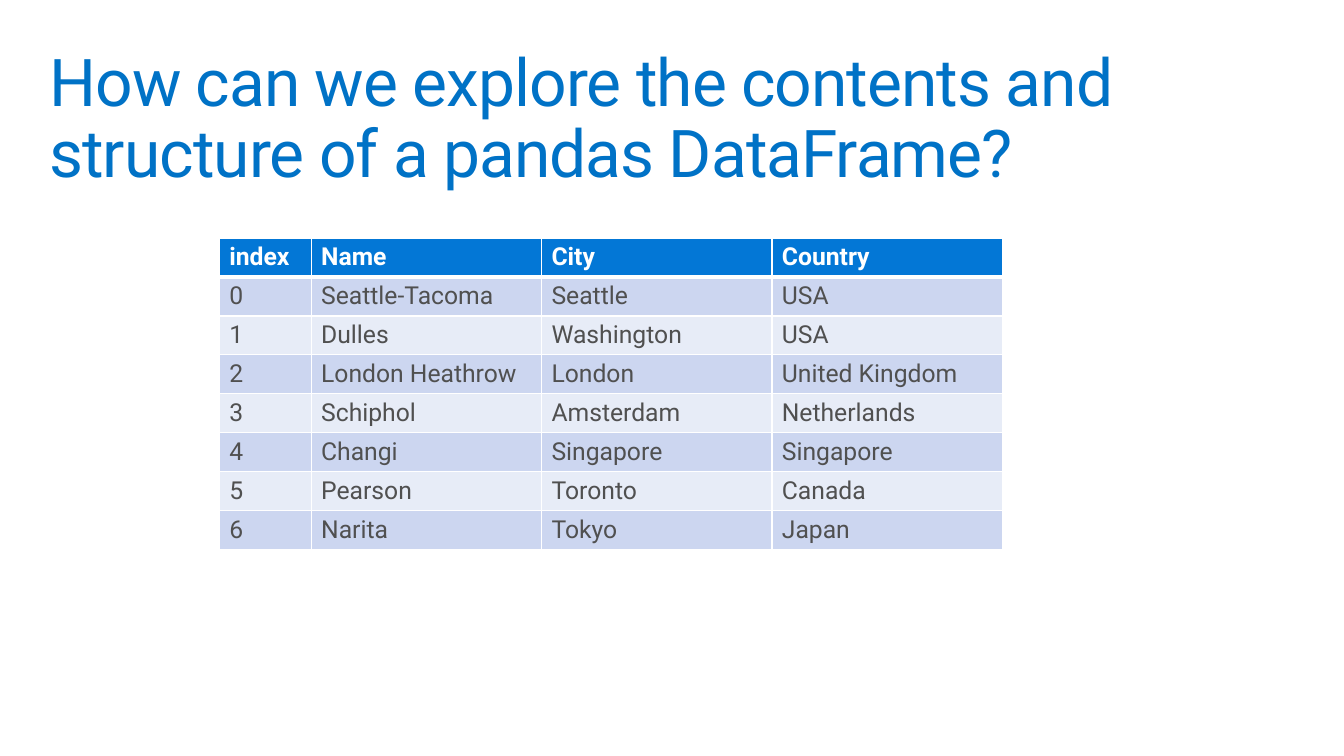
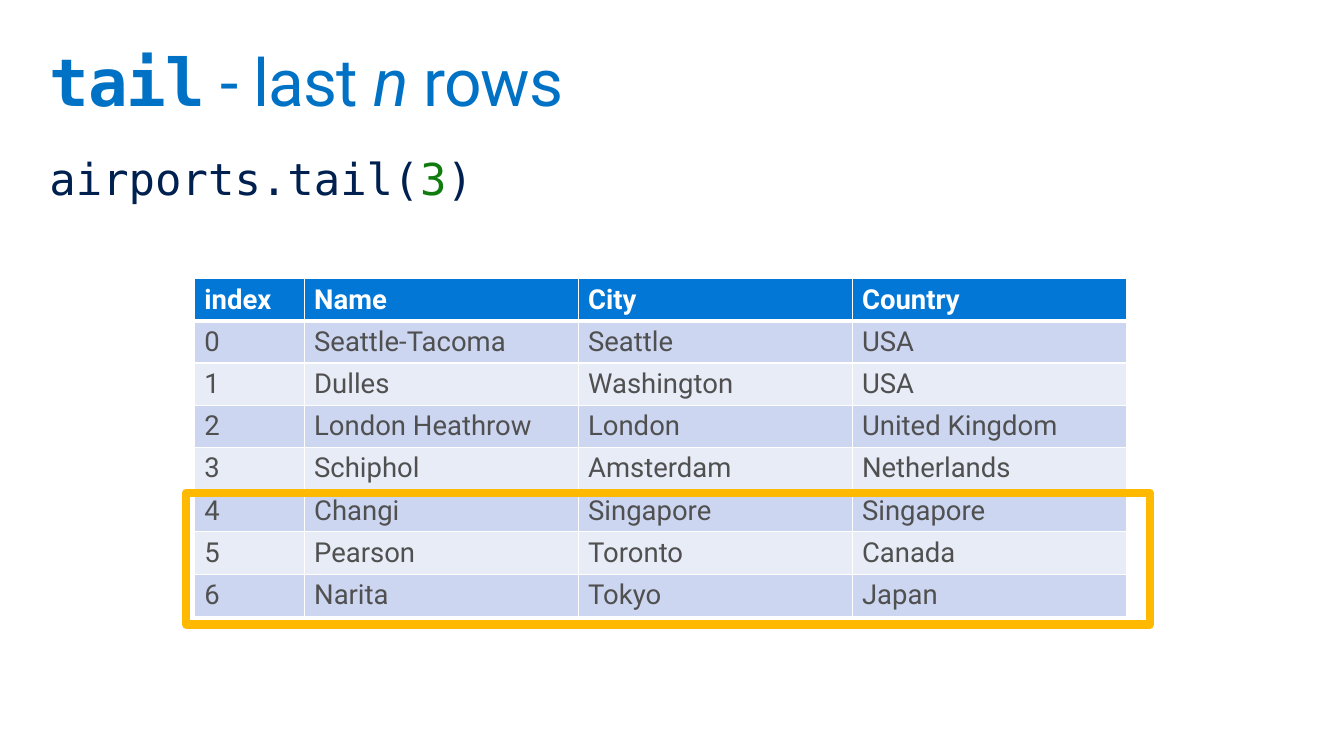
import pptx
import pptx.dml.color
import pptx.enum.shapes
import pptx.enum.text
import pptx.oxml.ns
import pptx.oxml.xmlchemy
import pptx.util
from lxml import etree

Cm = pptx.util.Cm
Pt = pptx.util.Pt
RGBColor = pptx.dml.color.RGBColor
qn = pptx.oxml.ns.qn

TITLE_BLUE = RGBColor(0x00, 0x72, 0xC6)
HEADER_BLUE = RGBColor(0x03, 0x77, 0xD6)
BAND_DARK = RGBColor(0xCC, 0xD6, 0xF0)
BAND_LIGHT = RGBColor(0xE7, 0xEC, 0xF7)
WHITE = RGBColor(0xFF, 0xFF, 0xFF)
GRAY = RGBColor(0x50, 0x50, 0x50)
NAVY = RGBColor(0x00, 0x20, 0x50)
GREEN = RGBColor(0x10, 0x7C, 0x10)
AMBER = RGBColor(0xFE, 0xB9, 0x00)

SANS = "Roboto"
MONO = "DejaVu Sans Mono"
MARGIN = Cm(1.02)
CONTENT_WIDTH = Cm(32.51)

AIRPORTS = [
    ("index", "Name", "City", "Country"),
    ("0", "Seattle-Tacoma", "Seattle", "USA"),
    ("1", "Dulles", "Washington", "USA"),
    ("2", "London Heathrow", "London", "United Kingdom"),
    ("3", "Schiphol", "Amsterdam", "Netherlands"),
    ("4", "Changi", "Singapore", "Singapore"),
    ("5", "Pearson", "Toronto", "Canada"),
    ("6", "Narita", "Tokyo", "Japan"),
]


def style_font(font, name, size, color, bold=False):
    font.name = name
    font.size = Pt(size)
    font.bold = bold
    font.color.rgb = color


def prepare_frame(frame):
    frame.word_wrap = True
    frame.auto_size = pptx.enum.text.MSO_AUTO_SIZE.NONE
    frame.vertical_anchor = pptx.enum.text.MSO_ANCHOR.TOP
    frame.margin_left = frame.margin_right = Cm(0.25)
    frame.margin_top = frame.margin_bottom = Cm(0.25)
    paragraph = frame.paragraphs[0]
    paragraph.alignment = pptx.enum.text.PP_ALIGN.LEFT
    paragraph.line_spacing = 0.9
    return paragraph


def add_run(paragraph, text):
    run = paragraph.add_run()
    run.text = text
    return run


def add_titled_slide(deck):
    slide = deck.slides.add_slide(deck.slide_layouts[5])
    title = slide.shapes.title
    title.left, title.top = MARGIN, MARGIN
    title.width, title.height = CONTENT_WIDTH, Cm(2.54)
    heading = prepare_frame(title.text_frame)
    style_font(heading.font, SANS, 48, TITLE_BLUE)
    heading._p.pPr.find(qn("a:defRPr")).set("spc", "-70")
    return slide, heading


def add_code(slide, parts):
    box = slide.shapes.add_textbox(MARGIN, Cm(3.81), CONTENT_WIDTH, Cm(3.2))
    code = prepare_frame(box.text_frame)
    style_font(code.font, MONO, 32, NAVY)
    for text, color in parts:
        add_run(code, text).font.color.rgb = color


def set_borders(cell, top, bottom):
    properties = cell._tc.get_or_add_tcPr()
    for side, width in (("L", 1), ("R", 1), ("T", top), ("B", bottom)):
        line = etree.SubElement(properties, qn(f"a:ln{side}"), w=str(Pt(width)))
        fill = etree.SubElement(line, qn("a:solidFill"))
        etree.SubElement(fill, qn("a:srgbClr"), val=str(WHITE))


def add_airport_table(slide, left, top, index_width, field_width, row_height, size):
    widths = [index_width] + [field_width] * 3
    table = slide.shapes.add_table(
        len(AIRPORTS), len(widths), Cm(left), Cm(top),
        Cm(sum(widths)), Cm(row_height * len(AIRPORTS))).table
    for column, width in zip(table.columns, widths):
        column.width = Cm(width)
    for number, record in enumerate(AIRPORTS):
        table.rows[number].height = Cm(row_height)
        header = number == 0
        band = BAND_DARK if number % 2 else BAND_LIGHT
        for position, value in enumerate(record):
            cell = table.cell(number, position)
            set_borders(cell, 3 if number == 1 else 1, 3 if header else 1)
            cell.fill.solid()
            cell.fill.fore_color.rgb = HEADER_BLUE if header else band
            cell.text = value
            style_font(cell.text_frame.paragraphs[0].font, SANS, size,
                       WHITE if header else GRAY, header)


def add_highlight(slide, left, top, width, height):
    frame = slide.shapes.add_shape(
        pptx.enum.shapes.MSO_SHAPE.RECTANGLE, Cm(left), Cm(top), Cm(width), Cm(height))
    frame.shadow.inherit = False
    frame.fill.background()
    frame.line.color.rgb = AMBER
    frame.line.width = Pt(6)
    etree.SubElement(frame.line._get_or_add_ln(), qn("a:round"))


def build_explore_slide(deck):
    slide, heading = add_titled_slide(deck)
    add_run(heading, "How can we explore the contents and structure of a pandas DataFrame?")
    add_airport_table(slide, 5.64, 6.12, 2.36, 5.92, 1, 18)


def build_tail_slide(deck):
    slide, heading = add_titled_slide(deck)
    method = add_run(heading, "tail")
    method.font.name = MONO
    method.font.bold = True
    add_run(heading, " - last ")
    add_run(heading, "n").font.italic = True
    add_run(heading, " rows")
    add_code(slide, [("airports.tail(", NAVY), ("3", GREEN), (")", NAVY)])
    add_airport_table(slide, 5, 7.16, 2.82, 7.04, 1.08, 20)
    add_highlight(slide, 4.78, 12.67, 24.77, 3.38)


def main():
    deck = pptx.Presentation()
    deck.slide_width, deck.slide_height = Cm(34.54), Cm(19.43)
    build_explore_slide(deck)
    build_tail_slide(deck)
    deck.save("out.pptx")


if __name__ == "__main__":
    main()
